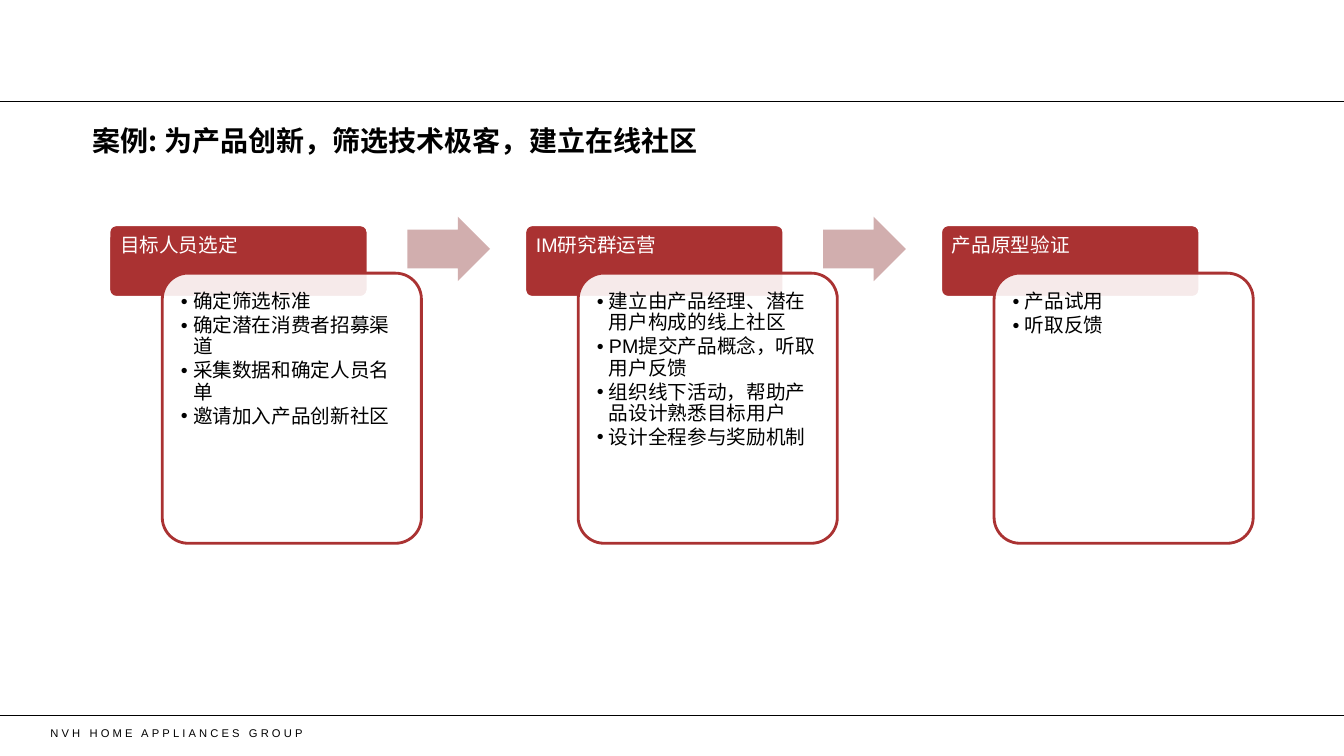
from lxml import etree
from pptx import Presentation
from pptx.dml.color import RGBColor
from pptx.enum.shapes import MSO_CONNECTOR as Link, MSO_SHAPE as Kind
from pptx.enum.text import MSO_ANCHOR as Anchor, PP_ALIGN as Align
from pptx.oxml.ns import qn
from pptx.util import Inches, Pt

RED = RGBColor(0xAA, 0x32, 0x32)
PINK = RGBColor(0xD1, 0xAE, 0xAE)
WHITE = RGBColor(0xFF, 0xFF, 0xFF)
BLACK = RGBColor(0, 0, 0)
HAN = "Noto Sans CJK SC"

STEPS = [
    ("目标人员选定", ["确定筛选标准", "确定潜在消费者招募渠道",
                "采集数据和确定人员名单", "邀请加入产品创新社区"]),
    ("IM研究群运营", ["建立由产品经理、潜在用户构成的线上社区",
                 "PM提交产品概念，听取用户反馈",
                 "组织线下活动，帮助产品设计熟悉目标用户",
                 "设计全程参与奖励机制"]),
    ("产品原型验证", ["产品试用", "听取反馈"]),
]
LEFT, PITCH = 1.08, 8.25 / 2


def write(shape, lines, inset, after=0, spacing=1, bullet=False, **style):
    """Fill the shape with one paragraph per line; style holds font values."""
    frame = shape.text_frame
    frame.word_wrap = True
    frame.vertical_anchor = Anchor.TOP
    for side in ("left", "top", "right", "bottom"):
        setattr(frame, "margin_" + side, Inches(inset))
    color = style.pop("color")
    for i, line in enumerate(lines):
        para = frame.add_paragraph() if i else frame.paragraphs[0]
        para.alignment = Align.LEFT
        para.line_spacing = spacing
        para.space_after = Pt(after)
        if bullet:
            props = para._p.get_or_add_pPr()
            props.set("marL", str(Inches(0.12)))
            props.set("indent", str(Inches(-0.12)))
            etree.SubElement(props, qn("a:buFont")).set("typeface", "Arial")
            etree.SubElement(props, qn("a:buChar")).set("char", "•")
        run = para.add_run()
        run.text = line
        for key, value in style.items():
            setattr(run.font, key, value)
        run.font.color.rgb = color
        latin = run._r.rPr.find(qn("a:latin"))
        east = etree.Element(qn("a:ea"), typeface=HAN)
        latin.addnext(east)


def draw(kind, box, adjust, fill, line=None):
    shape = slide.shapes.add_shape(kind, *map(Inches, box))
    shape.shadow.inherit = False
    for i, value in enumerate(adjust):
        shape.adjustments[i] = value
    shape.fill.solid()
    shape.fill.fore_color.rgb = fill
    if line is None:
        shape.line.fill.background()
    else:
        shape.line.color.rgb = line
        shape.line.width = Pt(2)
    return shape


deck = Presentation()
deck.slide_width, deck.slide_height = Inches(13.33), Inches(7.5)
slide = deck.slides.add_slide(deck.slide_layouts[6])

# Rules and footer
for y in (1.01, 7.1):
    rule = slide.shapes.add_connector(
        Link.STRAIGHT, 0, Inches(y), deck.slide_width, Inches(y))
    rule.line.color.rgb = BLACK
    rule.line.width = Pt(0.75)
    etree.SubElement(rule._element.spPr, qn("a:effectLst"))

foot = slide.shapes.add_textbox(*map(Inches, (0.5, 7.15, 5.03, 0.24)))
write(foot, ["NVH HOME APPLIANCES GROUP"], 0,
      size=Pt(8), name="Arial", color=BLACK)
foot.text_frame.vertical_anchor = Anchor.MIDDLE
foot.text_frame.paragraphs[0].runs[0]._r.rPr.set("spc", "222")

# Title
title = slide.shapes.add_textbox(*map(Inches, (0.92, 1.22, 11.91, 0.41)))
write(title, ["案例: 为产品创新，筛选技术极客，建立在线社区"], 0,
      size=Pt(20), name=HAN, bold=True, color=BLACK)

# Process steps
for i, (head, points) in enumerate(STEPS):
    x = LEFT + i * PITCH
    tab = draw(Kind.ROUNDED_RECTANGLE, (x, 2.23, 2.57, 0.72), [0.1], RED, WHITE)
    write(tab, [head], 0.09, after=5, spacing=0.9,
          size=Pt(14), name="Arial", color=WHITE)

    card = draw(Kind.ROUNDED_RECTANGLE, (x + 0.53, 2.71, 2.57, 2.68),
                [0.1], WHITE, RED)
    tint = card._element.spPr.find(qn("a:solidFill"))[0]
    etree.SubElement(tint, qn("a:alpha")).set("val", "90000")
    write(card, points, 0.11, after=2, spacing=0.9, bullet=True,
          size=Pt(14), name="Arial", color=BLACK)

    if i < len(STEPS) - 1:
        draw(Kind.RIGHT_ARROW, (x + 2.96, 2.15, 0.82, 0.64), [0.6, 0.5], PINK)

deck.save("out.pptx")
